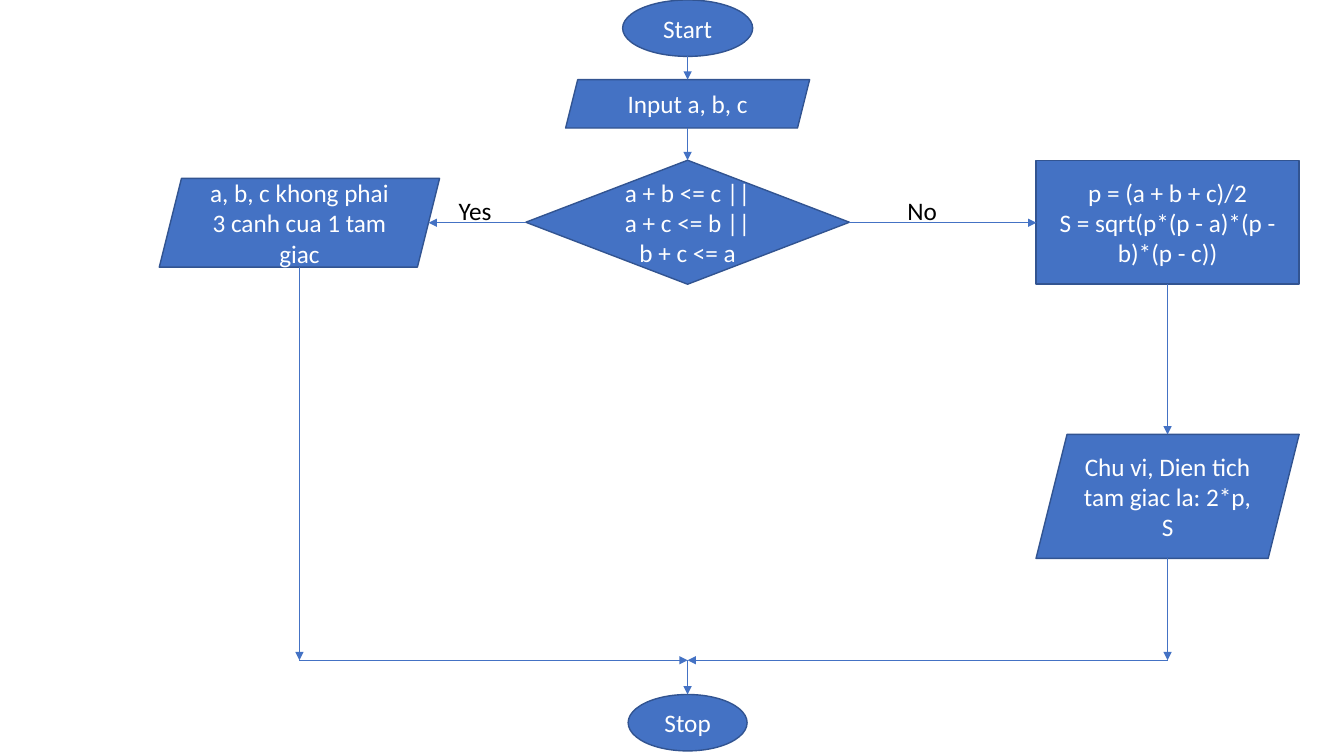
from lxml import etree
from pptx import Presentation
from pptx.dml.color import RGBColor
from pptx.enum.shapes import MSO_CONNECTOR, MSO_SHAPE
from pptx.enum.text import MSO_ANCHOR, PP_ALIGN
from pptx.oxml.ns import qn
from pptx.util import Inches, Pt

OVAL = MSO_SHAPE.OVAL
SLANTED = MSO_SHAPE.PARALLELOGRAM
DIAMOND = MSO_SHAPE.DIAMOND
RECTANGLE = MSO_SHAPE.RECTANGLE
STRAIGHT = MSO_CONNECTOR.STRAIGHT
MIDDLE = MSO_ANCHOR.MIDDLE
TOP = MSO_ANCHOR.TOP
CENTER = PP_ALIGN.CENTER
LEFT = PP_ALIGN.LEFT

COLORS = {"fill": "4472C4", "outline": "325491", "light": "FFFFFF", "dark": "000000"}


def write_text(box, text, color="light", align=CENTER, anchor=MIDDLE, wrap=True):
    frame = box.text_frame
    frame.word_wrap = wrap
    frame.vertical_anchor = anchor
    frame.text = text
    for para in frame.paragraphs:
        para.alignment = align
        for span in para.runs:
            span.font.name = "Calibri"
            span.font.size = Pt(18)
            span.font.color.rgb = RGBColor.from_string(COLORS[color])


deck = Presentation()
deck.slide_width = Inches(13.33)
deck.slide_height = Inches(7.5)
page = deck.slides.add_slide(deck.slide_layouts[6])

left_axis, main_axis, right_axis = 2.97, 6.82, 11.58
branch_y, merge_y = 2.21, 6.55

steps = [
    (OVAL, main_axis, 0, 1.29, 0.56, "Start"),
    (SLANTED, main_axis, 0.79, 2.42, 0.48, "Input a, b, c"),
    (DIAMOND, main_axis, 1.59, 3.21, 1.23, "a + b <= c || a + c <= b || b + c <= a"),
    (SLANTED, left_axis, 1.77, 2.78, 0.88, "a, b, c khong phai 3 canh cua 1 tam giac"),
    (RECTANGLE, right_axis, 1.59, 2.61, 1.23,
     "p = (a + b + c)/2\nS = sqrt(p*(p - a)*(p - b)*(p - c))"),
    (SLANTED, right_axis, 4.31, 2.61, 1.23, "Chu vi, Dien tich tam giac la: 2*p, S"),
    (OVAL, main_axis, 6.89, 1.18, 0.56, "Stop"),
]
for kind, axis, top, width, height, text in steps:
    step = page.shapes.add_shape(
        kind, Inches(axis - width / 2), Inches(top), Inches(width), Inches(height))
    step.shadow.inherit = False
    step.fill.solid()
    step.fill.fore_color.rgb = RGBColor.from_string(COLORS["fill"])
    step.line.color.rgb = RGBColor.from_string(COLORS["outline"])
    step.line.width = Pt(1)
    write_text(step, text)

arrows = [
    (main_axis, 0.56, main_axis, 0.79),
    (main_axis, 1.27, main_axis, 1.59),
    (5.21, branch_y, 4.25, branch_y),
    (8.42, branch_y, 10.28, branch_y),
    (left_axis, 2.65, left_axis, merge_y),
    (right_axis, 2.82, right_axis, 4.31),
    (right_axis, 5.54, right_axis, merge_y),
    (left_axis, merge_y, main_axis, merge_y),
    (right_axis, merge_y, main_axis, merge_y),
    (main_axis, merge_y, main_axis, 6.89),
]
for ends in arrows:
    arrow = page.shapes.add_connector(STRAIGHT, *[Inches(value) for value in ends])
    arrow.line.color.rgb = RGBColor.from_string(COLORS["fill"])
    arrow.line.width = Pt(0.5)
    etree.SubElement(arrow.line._get_or_add_ln(), qn("a:tailEnd"), type="triangle")
    etree.SubElement(arrow._element.spPr, qn("a:effectLst"))

for text, left, width in [("Yes", 4.45, 0.55), ("No", 8.9, 0.51)]:
    label = page.shapes.add_textbox(Inches(left), Inches(1.89), Inches(width), Inches(0.4))
    write_text(label, text, color="dark", align=LEFT, anchor=TOP, wrap=False)

deck.save("out.pptx")
